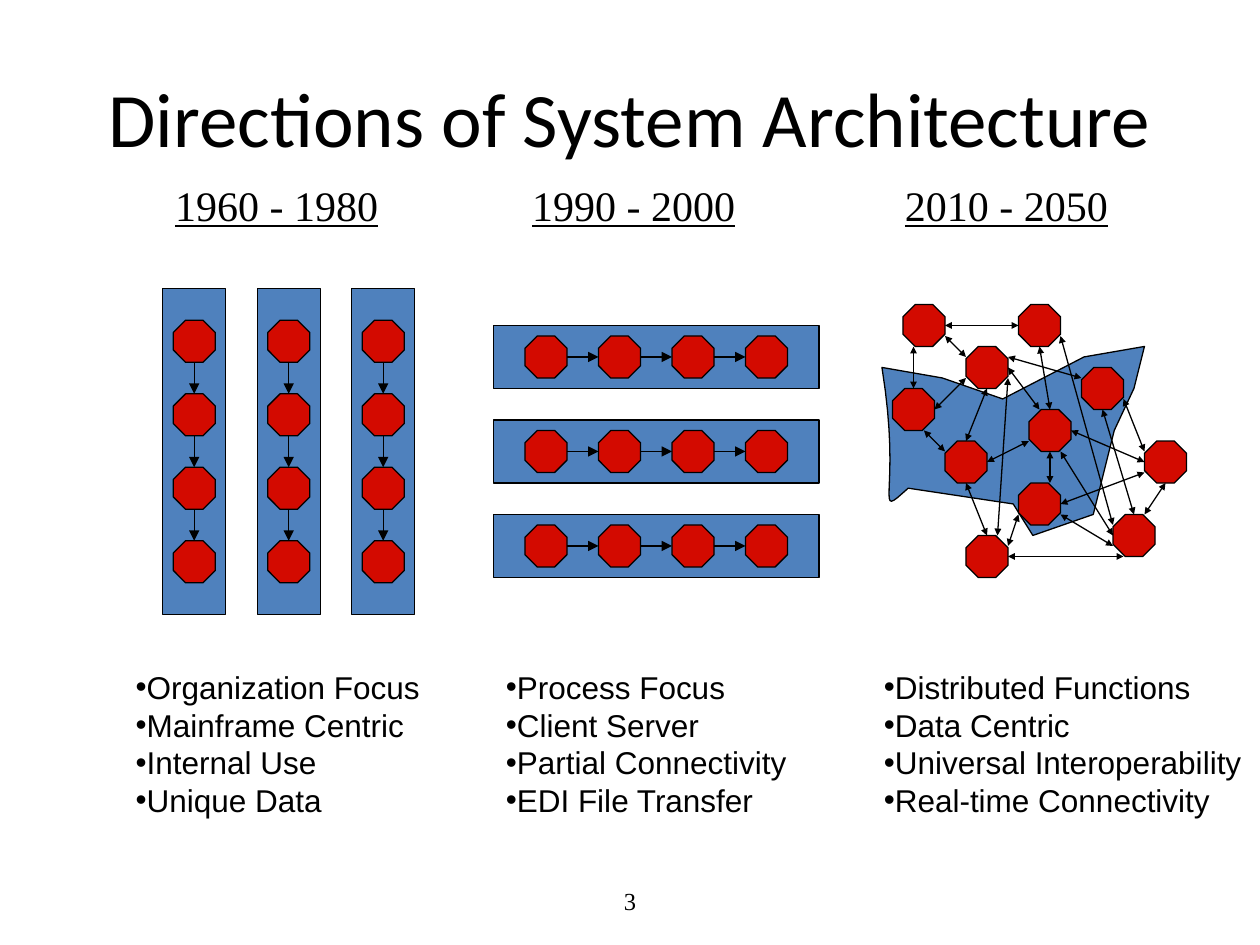
from lxml import etree
from pptx import Presentation
from pptx.dml.color import RGBColor
from pptx.enum.shapes import MSO_CONNECTOR, MSO_SHAPE
from pptx.enum.text import MSO_ANCHOR, PP_ALIGN
from pptx.oxml.ns import qn
from pptx.util import Pt

PX = 9525
BLUE = RGBColor(0x4F, 0x81, 0xBD)
RED = RGBColor(0xD3, 0x0A, 0x00)
BLACK = RGBColor(0, 0, 0)
RECTANGLE = MSO_SHAPE.RECTANGLE
OCTAGON = MSO_SHAPE.OCTAGON
STRAIGHT = MSO_CONNECTOR.STRAIGHT
TOP, MIDDLE = MSO_ANCHOR.TOP, MSO_ANCHOR.MIDDLE
LEFT, CENTER = PP_ALIGN.LEFT, PP_ALIGN.CENTER

NODE = 32
STEP = 56
LANE_STEP = 72
LANE_LENGTH = 248
LANE_WIDTH = 48

presentation = Presentation()
presentation.slide_width = 960 * PX
presentation.slide_height = 720 * PX
slide = presentation.slides.add_slide(presentation.slide_layouts[6])
shapes = slide.shapes


def add_box(kind, left, top, width, height, color):
    shape = shapes.add_shape(kind, left * PX, top * PX, width * PX, height * PX)
    shape.shadow.inherit = False
    shape.fill.solid()
    shape.fill.fore_color.rgb = color
    shape.line.color.rgb = BLACK
    shape.line.width = Pt(0.75)


def add_arrow(x1, y1, x2, y2, ends, size):
    connector = shapes.add_connector(STRAIGHT, x1 * PX, y1 * PX, x2 * PX, y2 * PX)
    connector.line.color.rgb = BLACK
    connector.line.width = Pt(0.75)
    properties = connector._element.spPr
    line = properties.find(qn("a:ln"))
    for end in ends:
        etree.SubElement(line, qn(end), type="triangle", w=size, len=size)
    etree.SubElement(properties, qn("a:effectLst"))


curve = [(672, 280), (688, 378), (664, 397), (692, 372)]
outline = []
for index in range(17):
    t = index / 16
    weights = [(1 - t) ** 3, 3 * t * (1 - t) ** 2, 3 * t ** 2 * (1 - t), t ** 3]
    outline.append(tuple(
        round(sum(weight * point[axis] for weight, point in zip(weights, curve)) * PX)
        for axis in (0, 1)
    ))
corners = [(772, 384), (787, 408), (833, 392), (849, 328), (864, 296),
           (872, 264), (826, 272), (795, 288), (764, 304), (718, 288)]
outline += [(x * PX, y * PX) for x, y in corners]
builder = shapes.build_freeform(*outline[0])
builder.add_line_segments(outline[1:], close=True)
cloud = builder.convert_to_shape()
cloud.shadow.inherit = False
cloud.fill.solid()
cloud.fill.fore_color.rgb = BLUE
cloud.line.color.rgb = BLACK
cloud.line.width = Pt(0.75)

for lane in range(3):
    left = 124 + lane * LANE_STEP
    add_box(RECTANGLE, left, 220, LANE_WIDTH, LANE_LENGTH, BLUE)
    for node in range(4):
        add_box(OCTAGON, left + 8, 244 + node * STEP, NODE, NODE, RED)
    for node in range(3):
        start = 244 + NODE + node * STEP
        add_arrow(left + 24, start, left + 24, start + STEP - NODE, ["a:tailEnd"], "med")

for lane in range(3):
    top = 248 + lane * LANE_STEP
    add_box(RECTANGLE, 376, top, LANE_LENGTH, LANE_WIDTH, BLUE)
    for node in range(4):
        add_box(OCTAGON, 400 + node * STEP, top + 8, NODE, NODE, RED)
    for node in range(3):
        start = 400 + NODE + node * STEP
        add_arrow(start, top + 24, start + STEP - NODE, top + 24, ["a:tailEnd"], "med")

network_nodes = [
    (688, 232), (776, 232), (680, 296), (736, 264), (824, 280), (720, 336),
    (784, 312), (736, 408), (872, 336), (776, 368), (848, 392),
]
for left, top in network_nodes:
    add_box(OCTAGON, left, top, NODE, NODE, RED)

network_links = [
    (720, 256, 736, 272), (720, 248, 776, 248), (696, 264, 696, 296),
    (752, 296, 736, 336), (736, 368, 752, 408), (792, 264, 800, 312),
    (840, 312, 864, 392), (808, 256, 848, 400), (768, 288, 760, 408),
    (704, 328, 720, 344), (768, 280, 792, 312), (800, 344, 800, 368),
    (808, 344, 848, 408), (856, 304, 872, 344), (888, 368, 872, 392),
    (768, 424, 856, 424), (808, 392, 848, 416), (776, 392, 768, 416),
    (736, 288, 712, 312), (784, 336, 752, 352), (768, 272, 824, 288),
    (816, 328, 872, 352), (808, 384, 872, 360),
]
for link in network_links:
    add_arrow(*link, ["a:headEnd", "a:tailEnd"], "sm")

title_style = ("Calibri", 44, MIDDLE, CENTER)
number_style = ("Times New Roman", 14, MIDDLE, CENTER)
heading_style = ("Times New Roman", 24, TOP, LEFT)
list_style = ("Arial", 18, TOP, LEFT)
texts = [
    (["Directions of System Architecture"], 48, 29, 864, 120, title_style),
    (["3"], 328, 667, 304, 38, number_style),
    (["1960 - 1980"], 124, 132, 174, 48, heading_style),
    (["1990 - 2000"], 396, 132, 174, 48, heading_style),
    (["2010 - 2050"], 680, 132, 174, 48, heading_style),
    (["Organization Focus", "Mainframe Centric", "Internal Use", "Unique Data"],
     94, 504, 236, 151, list_style),
    (["Process Focus", "Client Server", "Partial Connectivity", "EDI File Transfer"],
     376, 504, 233, 151, list_style),
    (["Distributed Functions", "Data Centric", "Universal Interoperability",
      "Real-time Connectivity"], 664, 504, 292, 151, list_style),
]
for lines, left, top, width, height, style in texts:
    font_name, size, anchor, alignment = style
    text_box = shapes.add_textbox(left * PX, top * PX, width * PX, height * PX)
    frame = text_box.text_frame
    frame.word_wrap = anchor == MIDDLE
    frame.vertical_anchor = anchor
    frame.text = "\n".join(lines)
    for paragraph in frame.paragraphs:
        paragraph.alignment = alignment
        paragraph.font.name = font_name
        paragraph.font.size = Pt(size)
        paragraph.font.color.rgb = BLACK
        if style == heading_style:
            paragraph.font.underline = True
        if style == list_style:
            defaults = paragraph._p.pPr.find(qn("a:defRPr"))
            for tag, name, value in [("a:buFont", "typeface", font_name),
                                     ("a:buChar", "char", "•")]:
                bullet = etree.Element(qn(tag))
                bullet.set(name, value)
                defaults.addprevious(bullet)

presentation.save("out.pptx")
